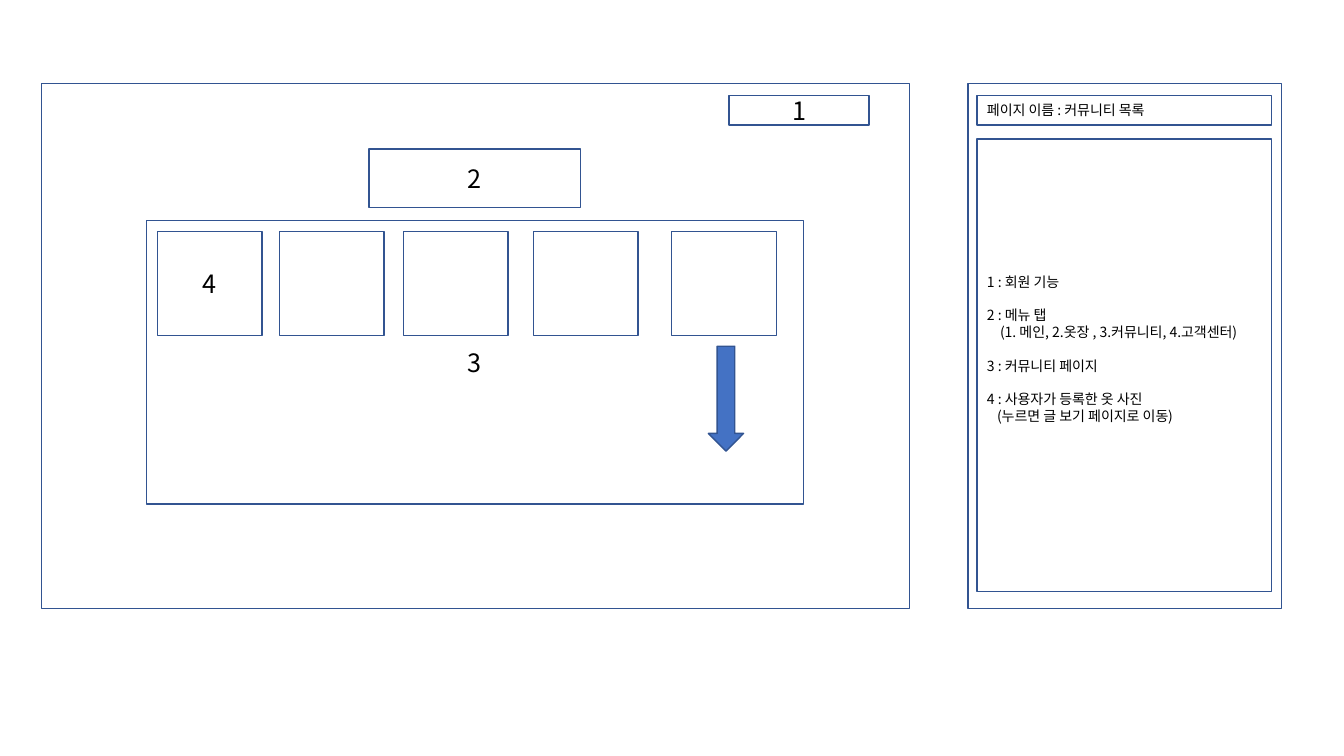
from pptx import Presentation
from pptx.dml.color import RGBColor
from pptx.enum.shapes import MSO_SHAPE as Shape
from pptx.enum.text import MSO_ANCHOR as Anchor, PP_ALIGN as Align
from pptx.oxml.ns import qn
from pptx.util import Inches, Pt
from lxml.etree import SubElement

FONT = "Noto Sans CJK KR"
WHITE, BLACK, BLUE, NAVY = "FFFFFF", "000000", "4472C4", "325491"

# left, top, width, height in inches
SCREEN = (0.41, 0.83, 8.61, 5.21)
SIDEBAR = (9.6, 0.83, 3.11, 5.21)
PAGE_NAME = (9.69, 0.95, 2.92, 0.29)
LEGEND = (9.69, 1.38, 2.92, 4.49)
SCROLL_ARROW = (6.68, 3.78, 1.04, 0.35)

PAGE_TITLE = "페이지 이름 : 커뮤니티 목록"
# text, first-line indent in inches, space before in points
LEGEND_LINES = [
    ("1 : 회원 기능", 0, 0),
    ("2 : 메뉴 탭", 0, 12),
    ("(1. 메인, 2.옷장 , 3.커뮤니티, 4.고객센터)", 0.13, 0),
    ("3 : 커뮤니티 페이지", 0, 12),
    ("4 : 사용자가 등록한 옷 사진", 0, 12),
    ("(누르면 글 보기 페이지로 이동)", 0.1, 0),
]
NUMBERED_AREAS = [
    ("3", (1.45, 2.19, 6.52, 2.81)),
    ("2", (3.66, 1.48, 2.1, 0.58)),
    ("1", (7.23, 0.95, 1.39, 0.29)),
]
PHOTO_LEFTS = [1.56, 2.77, 4, 5.29, 6.66]
PHOTO_TOP, PHOTO_WIDTH, PHOTO_HEIGHT = 2.3, 1.04, 1.03
PHOTO_LABEL = "4"


def rgb(color):
    return RGBColor.from_string(color)


def add_box(place, fill=WHITE, kind=Shape.RECTANGLE):
    box = slide.shapes.add_shape(kind, *map(Inches, place))
    box.shadow.inherit = False
    box.fill.solid()
    box.fill.fore_color.rgb = rgb(fill)
    box.line.color.rgb = rgb(NAVY)
    box.line.width = Pt(1)
    box.text_frame.word_wrap = True
    box.text_frame.vertical_anchor = Anchor.MIDDLE
    return box


def write(paragraph, text, size, align):
    paragraph.alignment = align
    run = paragraph.add_run()
    run.text = text
    run.font.size = Pt(size)
    run.font.color.rgb = rgb(BLACK)
    run.font.name = FONT
    SubElement(run.font._element, qn("a:ea"), typeface=FONT)


def add_numbered(label, place):
    write(add_box(place).text_frame.paragraphs[0], label, 18, Align.CENTER)


prs = Presentation()
prs.slide_width, prs.slide_height = Inches(13.33), Inches(7.5)
slide = prs.slides.add_slide(prs.slide_layouts[6])

add_box(SCREEN)
add_box(SIDEBAR)
write(add_box(PAGE_NAME).text_frame.paragraphs[0], PAGE_TITLE, 10, Align.LEFT)

legend = add_box(LEGEND).text_frame
legend.margin_bottom = Inches(0.38)
for i, (text, indent, gap) in enumerate(LEGEND_LINES):
    line = legend.add_paragraph() if i else legend.paragraphs[0]
    line.line_spacing = Pt(12)
    if gap:
        line.space_before = Pt(gap)
    if indent:
        line._p.get_or_add_pPr().set("indent", str(Inches(indent)))
    write(line, text, 10, Align.LEFT)

for label, place in NUMBERED_AREAS:
    add_numbered(label, place)

for i, left in enumerate(PHOTO_LEFTS):
    place = (left, PHOTO_TOP, PHOTO_WIDTH, PHOTO_HEIGHT)
    if i:
        add_box(place)
    else:
        add_numbered(PHOTO_LABEL, place)

add_box(SCROLL_ARROW, BLUE, Shape.RIGHT_ARROW).rotation = 90

prs.save("out.pptx")
